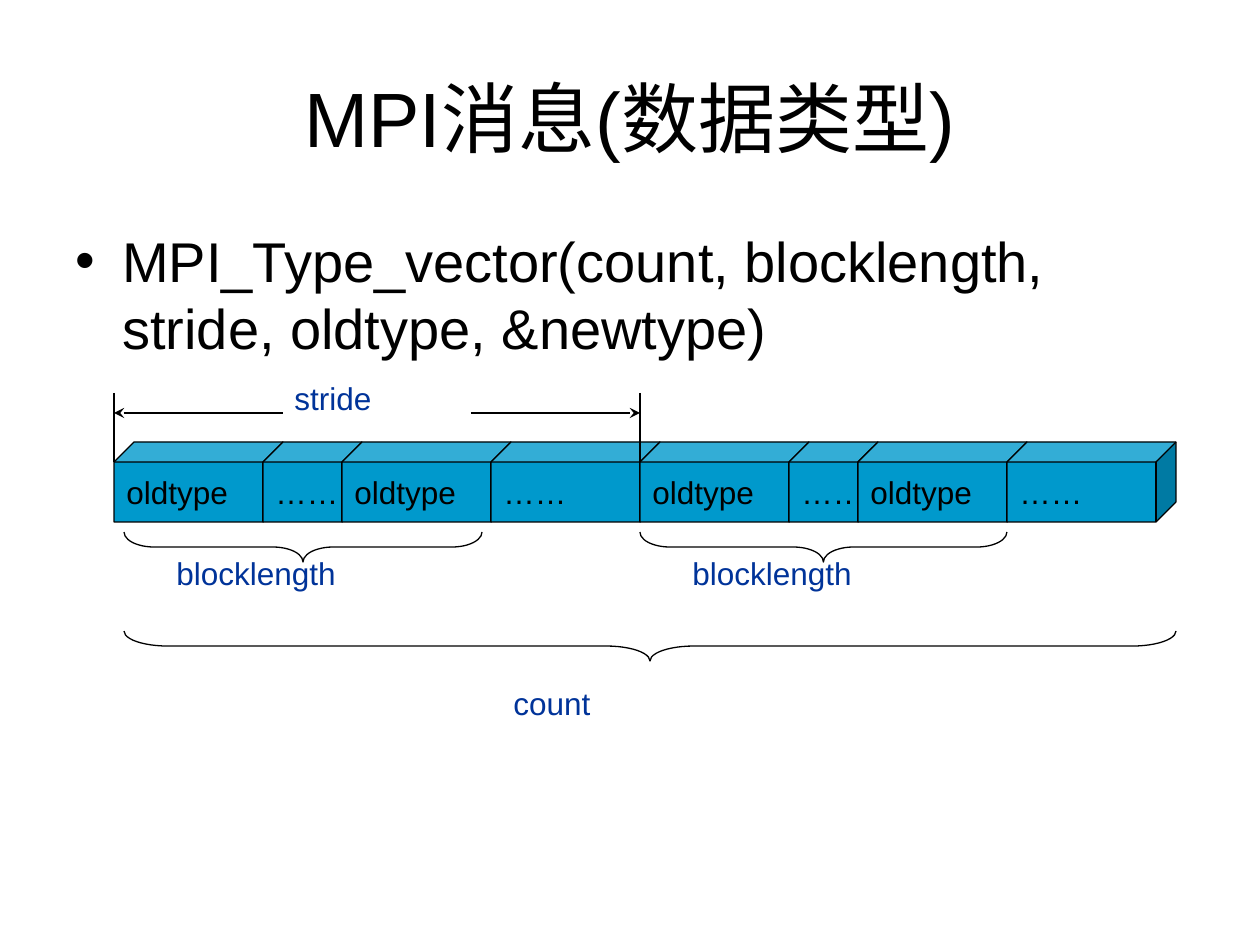
import dataclasses

import lxml.etree
import pptx
import pptx.dml.color
import pptx.enum.shapes
import pptx.enum.text
import pptx.oxml.ns
import pptx.util

PX = 914400 // 126
SHAPES = pptx.enum.shapes.MSO_SHAPE
ANCHOR = pptx.enum.text.MSO_ANCHOR
ALIGN = pptx.enum.text.PP_ALIGN


def px(length):
    return pptx.util.Emu(round(length * PX))


def add_element(parent, tag, **attributes):
    return lxml.etree.SubElement(parent, pptx.oxml.ns.qn(tag), attributes)


@dataclasses.dataclass(frozen=True)
class Theme:
    font: str = "Arial"
    ink: str = "000000"
    label: str = "003399"
    block: str = "0099CC"
    title_size: int = 44
    body_size: int = 32
    label_size: int = 18
    thin: float = 0.75
    thick: float = 1.5


class SlideBuilder:
    def __init__(self, slide, theme):
        self.slide = slide
        self.theme = theme

    def color(self, value):
        return pptx.dml.color.RGBColor.from_string(value)

    def outline(self, shape, width):
        shape.line.color.rgb = self.color(self.theme.ink)
        shape.line.width = pptx.util.Pt(width)

    def run(self, paragraph, text, size, color):
        run = paragraph.add_run()
        run.text = text
        run.font.name = self.theme.font
        run.font.size = pptx.util.Pt(size)
        run.font.color.rgb = self.color(color)

    def text(self, text, left, top, width, height, size, color,
             align=ALIGN.LEFT, anchor=ANCHOR.TOP):
        box = self.slide.shapes.add_textbox(px(left), px(top), px(width), px(height))
        frame = box.text_frame
        frame.word_wrap = True
        frame.vertical_anchor = anchor
        paragraph = frame.paragraphs[0]
        paragraph.alignment = align
        self.run(paragraph, text, size, color)
        return paragraph

    def title(self, text, left, top, width, height):
        self.text(text, left, top, width, height, self.theme.title_size,
                  self.theme.ink, ALIGN.CENTER, ANCHOR.MIDDLE)

    def bullet(self, text, left, top, width, height, indent):
        paragraph = self.text(text, left, top, width, height,
                              self.theme.body_size, self.theme.ink)
        properties = paragraph._p.get_or_add_pPr()
        properties.set("marL", str(px(indent)))
        properties.set("indent", str(-px(indent)))
        add_element(properties, "a:buFont", typeface=self.theme.font)
        add_element(properties, "a:buChar", char="•")

    def label(self, text, left, top, width):
        self.text(text, left, top, width, 50, self.theme.label_size, self.theme.label)

    def cube(self, text, left, top, width, height):
        shape = self.slide.shapes.add_shape(SHAPES.CUBE, px(left), px(top), px(width), px(height))
        shape.shadow.inherit = False
        shape.adjustments[0] = 0.25
        shape.fill.solid()
        shape.fill.fore_color.rgb = self.color(self.theme.block)
        self.outline(shape, self.theme.thin)
        frame = shape.text_frame
        frame.word_wrap = False
        frame.vertical_anchor = ANCHOR.MIDDLE
        paragraph = frame.paragraphs[0]
        paragraph.alignment = ALIGN.LEFT
        self.run(paragraph, text, self.theme.label_size, self.theme.ink)

    def brace_below(self, left, top, length, depth, curve):
        shape = self.slide.shapes.add_shape(
            SHAPES.LEFT_BRACE, px(left + (length - depth) / 2),
            px(top + (depth - length) / 2), px(depth), px(length))
        shape.rotation = 270
        shape.shadow.inherit = False
        shape.adjustments[0] = curve
        shape.adjustments[1] = 0.5
        shape.fill.background()
        self.outline(shape, self.theme.thin)

    def line(self, start, end, width, arrow=None):
        connector = self.slide.shapes.add_connector(
            pptx.enum.shapes.MSO_CONNECTOR.STRAIGHT, *map(px, start + end))
        self.outline(connector, width)
        properties = connector._element.spPr
        if arrow:
            add_element(properties.find(pptx.oxml.ns.qn("a:ln")), arrow, type="stealth")
        add_element(properties, "a:effectLst")


def main():
    presentation = pptx.Presentation()
    presentation.slide_width = px(1260)
    presentation.slide_height = px(945)
    slide = presentation.slides.add_slide(presentation.slide_layouts[6])
    theme = Theme()
    builder = SlideBuilder(slide, theme)

    builder.title("MPI消息(数据类型)", 63, 38, 1134, 158)
    builder.bullet("MPI_Type_vector(count, blocklength, stride, oldtype, &newtype)",
                   63, 220, 1134, 624, 47)

    first_left, block_depth = 114, 20
    left = first_left
    starts = []
    for position, front in enumerate((149, 79, 149, 149, 149, 69, 149, 149)):
        starts.append(left)
        text = "……" if position % 2 else "oldtype"
        builder.cube(text, left, 442, front + block_depth, 80)
        left += front
    second_left = starts[4]

    for brace_left, length, label_left in ((124, 358, 164), (second_left, 367, 680)):
        builder.brace_below(brace_left, 532, length, 30, 1)
        builder.label("blocklength", label_left, 548, 288)
    builder.brace_below(124, 631, 1052, 30, 1.45)
    builder.label("count", 501, 678, 288)

    for edge in (first_left, second_left):
        builder.line((edge, 393), (edge, 462), theme.thin)
    builder.line((first_left, 413), (283, 413), theme.thick, "a:headEnd")
    builder.line((471, 413), (second_left, 413), theme.thick, "a:tailEnd")
    builder.label("stride", 282, 373, 199)

    presentation.save("out.pptx")


if __name__ == "__main__":
    main()
